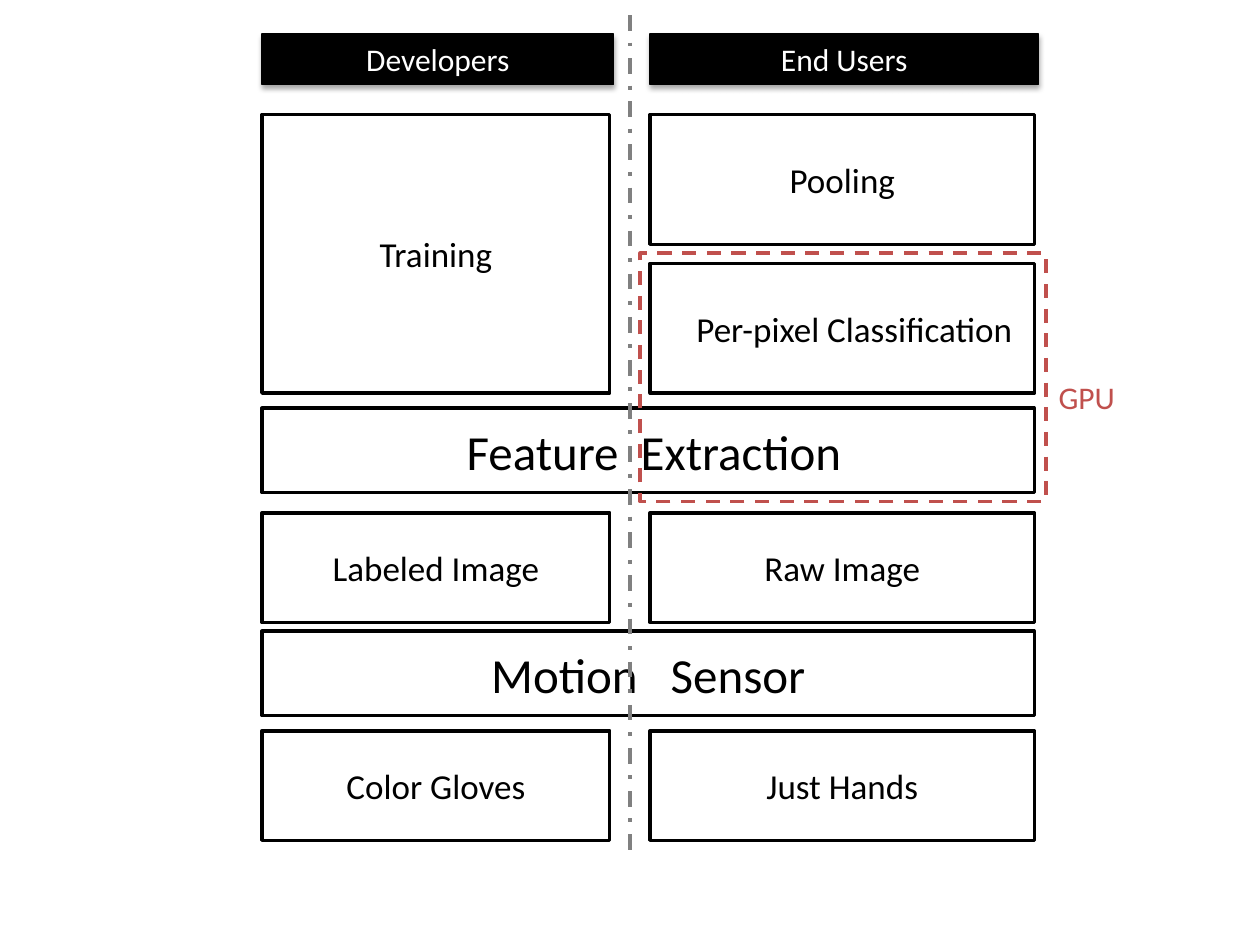
from lxml import etree
from pptx import Presentation, util as u
from pptx.dml.color import RGBColor
from pptx.enum import dml, shapes, text
from pptx.oxml import parse_xml
from pptx.oxml.ns import nsdecls, qn

BLACK = RGBColor(0x00, 0x00, 0x00)
WHITE = RGBColor(0xFF, 0xFF, 0xFF)
GRAY = RGBColor(0x80, 0x80, 0x80)
RED = RGBColor(0xC0, 0x50, 0x4D)

# Columns (left, width) and rows (top, height) of the grid, in inches
DEV, USER, BOTH = (2.08, 2.76), (5.16, 3.05), (2.08, 6.13)
POOL, CLASSIFY, TRAIN = (0.91, 1.03), (2.09, 1.03), (0.91, 2.21)
FEATURE, IMAGE, SENSOR, HAND = (3.24, 0.67), (4.07, 0.87), (5.01, 0.67), (5.8, 0.87)
HEADER = (0.27, 0.4)
INSET = 0.1


class Diagram:
    font = "Calibri"

    def __init__(self, slide):
        self.s = slide

    def add_text(self, tf, words, size, color, gap=0):
        """Set words in one centred line; gap widens the space between them."""
        p = tf.paragraphs[0]
        p.alignment = text.PP_ALIGN.CENTER
        runs = [words]
        if gap:
            first, last = words.split(" ")
            runs = [first, " ", last]
        for part in runs:
            r = p.add_run()
            r.text = part
            r.font.name, r.font.size = self.font, u.Pt(size)
            r.font.color.rgb = color
            if part == " ":
                r.font._element.set("spc", str(round(gap * 100)))

    def rect(self, col, row, fill, line, width):
        (x, w), (y, h) = col, row
        sp = self.s.shapes.add_shape(shapes.MSO_SHAPE.RECTANGLE, *map(u.Inches, (x, y, w, h)))
        sp.shadow.inherit = False
        if fill is None:
            sp.fill.background()
        else:
            sp.fill.solid()
            sp.fill.fore_color.rgb = fill
        sp.line.color.rgb, sp.line.width = line, u.Pt(width)
        return sp

    def box(self, words, col, row, size=20, shift=0, gap=0):
        """A white stage box; shift moves its centred text to the right."""
        tf = self.rect(col, row, WHITE, BLACK, 2).text_frame
        tf.vertical_anchor = text.MSO_ANCHOR.MIDDLE
        tf.margin_left = u.Inches(INSET + 2 * shift)
        self.add_text(tf, words, size, BLACK, gap)

    def header(self, words, col):
        x, w = col
        sp = self.rect((x, w + 0.03), HEADER, BLACK, BLACK, 0.75)
        sp._element.spPr.find(qn("a:effectLst")).append(parse_xml(
            f'<a:outerShdw {nsdecls("a")} blurRad="{u.Pt(3.1)}" dist="{u.Pt(1.8)}" '
            'dir="5400000" rotWithShape="0"><a:srgbClr val="000000">'
            '<a:alpha val="35000"/></a:srgbClr></a:outerShdw>'))
        tf = sp.text_frame
        tf.vertical_anchor = text.MSO_ANCHOR.TOP
        tf.auto_size = text.MSO_AUTO_SIZE.SHAPE_TO_FIT_TEXT
        self.add_text(tf, words, 18, WHITE)

    def label(self, words, x, y, w, h, color):
        tf = self.s.shapes.add_textbox(*map(u.Inches, (x, y, w, h))).text_frame
        tf.word_wrap = False
        tf.auto_size = text.MSO_AUTO_SIZE.SHAPE_TO_FIT_TEXT
        self.add_text(tf, words, 18, color)

    def divider(self, x, top, bottom):
        c = self.s.shapes.add_connector(
            shapes.MSO_CONNECTOR.STRAIGHT, *map(u.Inches, (x, top, x, bottom)))
        c.line.color.rgb, c.line.width = GRAY, u.Pt(2.25)
        c.line.dash_style = dml.MSO_LINE.DASH_DOT
        etree.SubElement(c._element.spPr, qn("a:effectLst"))

    def frame(self, col, row, color):
        sp = self.rect(col, row, None, color, 2)
        sp.line.dash_style = dml.MSO_LINE.DASH


prs = Presentation()
prs.slide_width, prs.slide_height = u.Inches(10), u.Inches(7.5)
d = Diagram(prs.slides.add_slide(prs.slide_layouts[6]))

# Column headers
d.header("Developers", DEV)
d.header("End Users", USER)

# Stages shared by both columns
d.box("Feature Extraction", BOTH, FEATURE, 28, shift=0.045, gap=6.3)
d.box("Motion Sensor", BOTH, SENSOR, 28, gap=12.6)

# Stages of one column
for words, col, row in (
    ("Training", DEV, TRAIN),
    ("Pooling", USER, POOL),
    ("Labeled Image", DEV, IMAGE),
    ("Raw Image", USER, IMAGE),
    ("Color Gloves", DEV, HAND),
    ("Just Hands", USER, HAND),
):
    d.box(words, col, row)
d.box("Per-pixel Classification", USER, CLASSIFY, shift=0.095)

# Divider and GPU region
d.divider(5, 0.12, 6.75)
d.frame((5.08, 3.22), (2.01, 1.97), RED)
d.label("GPU", 8.3, 2.95, 0.65, 0.4, RED)

prs.save("out.pptx")
